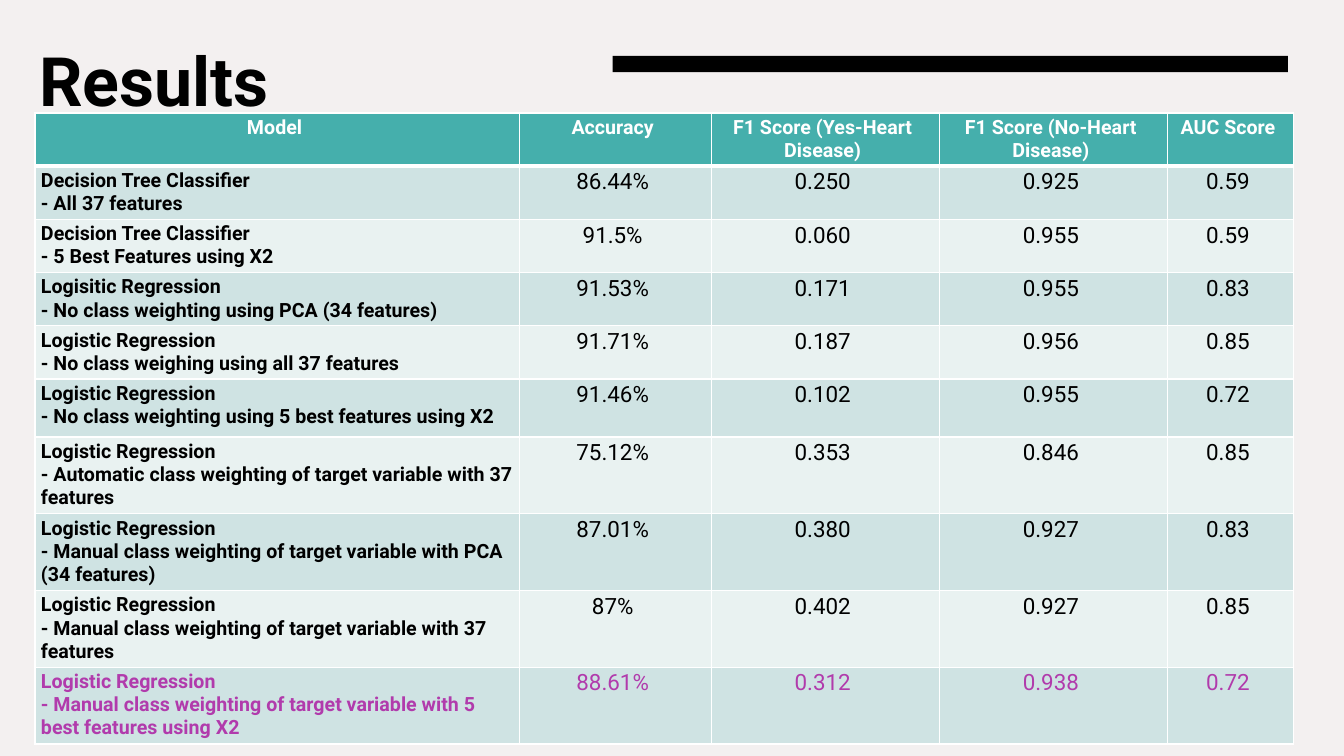
from itertools import accumulate

from lxml import etree
from pptx import Presentation
from pptx.dml.color import RGBColor
from pptx.enum.shapes import MSO_SHAPE
from pptx.enum.text import MSO_ANCHOR, PP_ALIGN
from pptx.oxml.ns import qn
from pptx.util import Pt

RECTANGLE = MSO_SHAPE.RECTANGLE
TOP = MSO_ANCHOR.TOP
LEFT, CENTER = PP_ALIGN.LEFT, PP_ALIGN.CENTER

TITLE = "Results"
HEADINGS = ["Model", "Accuracy", "F1 Score (Yes-Heart Disease)",
            "F1 Score (No-Heart Disease)", "AUC Score"]
# model and variant, accuracy, F1 yes, F1 no, AUC
RESULTS = [
    ("Decision Tree Classifier\n- All 37 features",
     "86.44%", "0.250", "0.925", "0.59"),
    ("Decision Tree Classifier\n- 5 Best Features using X2",
     "91.5%", "0.060", "0.955", "0.59"),
    ("Logisitic Regression\n- No class weighting using PCA (34 features)",
     "91.53%", "0.171", "0.955", "0.83"),
    ("Logistic Regression\n- No class weighing using all 37 features",
     "91.71%", "0.187", "0.956", "0.85"),
    ("Logistic Regression\n- No class weighting using 5 best features using X2",
     "91.46%", "0.102", "0.955", "0.72"),
    ("Logistic Regression\n- Automatic class weighting of target variable with 37 features",
     "75.12%", "0.353", "0.846", "0.85"),
    ("Logistic Regression\n- Manual class weighting of target variable with PCA (34 features)",
     "87.01%", "0.380", "0.927", "0.83"),
    ("Logistic Regression\n- Manual class weighting of target variable with 37 features",
     "87%", "0.402", "0.927", "0.85"),
    ("Logistic Regression\n- Manual class weighting of target variable with 5 best features using X2",
     "88.61%", "0.312", "0.938", "0.72"),
]
COLUMN_WIDTHS = [346, 137, 163, 163, 90]
ROW_HEIGHTS = [37.2, 37.4, 37.4, 38, 37.4, 41.4, 53.8, 53.8, 53.8, 53.8]
TABLE_LEFT, TABLE_TOP = 25, 80.7

FONT = "Roboto"
BACKGROUND, BLACK, WHITE = "F3F0F0", "000000", "FFFFFF"
HEADER_FILL, BANDS = "45AFAC", ["E9F2F1", "CFE3E3"]
HIGHLIGHT = "B13BAC"


def paint(fill, color):
    fill.solid()
    fill.fore_color.rgb = RGBColor.from_string(color)


def style_text(frame, size, color, bold, align=LEFT):
    for para in frame.paragraphs:
        para.alignment = align
        for span in para.runs:
            span.font.name = FONT
            span.font.size = Pt(size)
            span.font.bold = bold
            span.font.color.rgb = RGBColor.from_string(color)


def set_borders(cell, top, bottom):
    """Draw white cell borders; top and bottom are widths in points."""
    properties = cell._tc.get_or_add_tcPr()
    sides = [("lnL", 1), ("lnR", 1), ("lnT", top), ("lnB", bottom)]
    for index, (side, width) in enumerate(sides):
        line = etree.Element(qn("a:" + side), w=str(Pt(width)))
        solid = etree.SubElement(line, qn("a:solidFill"))
        etree.SubElement(solid, qn("a:srgbClr"), val=WHITE)
        properties.insert(index, line)


def fill_cell(cell, text, row, column):
    header, model = row == 0, column == 0
    centered = header or not model
    cell.text_frame.text = text
    cell.vertical_anchor = TOP
    cell.margin_left = Pt(4.3)
    cell.margin_right = Pt(8 if centered else 4.3)
    cell.margin_top = cell.margin_bottom = Pt(2.2)
    if header:
        color = WHITE
    else:
        color = HIGHLIGHT if row == len(RESULTS) else BLACK
    bold = header or model
    style_text(cell.text_frame, 14 if bold else 16, color, bold,
               CENTER if centered else LEFT)
    paint(cell.fill, HEADER_FILL if header else BANDS[row % 2])
    set_borders(cell, top=3 if row == 1 else 1, bottom=3 if header else 1)


def add_title(page):
    box = page.shapes.add_textbox(Pt(21), Pt(20), Pt(483), Pt(58))
    frame = box.text_frame
    frame.word_wrap = True
    frame.vertical_anchor = TOP
    frame.margin_top = Pt(7.5)
    frame.text = TITLE
    style_text(frame, 48.6, BLACK, True)


def add_bar(page):
    bar = page.shapes.add_shape(RECTANGLE, Pt(437.6), Pt(40), Pt(482.4), Pt(11.6))
    bar.shadow.inherit = False
    paint(bar.fill, BLACK)
    bar.line.fill.background()


def add_results_table(page):
    rows = [HEADINGS, *RESULTS]
    table = page.shapes.add_table(
        len(rows), len(HEADINGS), Pt(TABLE_LEFT), Pt(TABLE_TOP),
        Pt(sum(COLUMN_WIDTHS)), Pt(sum(ROW_HEIGHTS))).table
    for column, width in zip(table.columns, COLUMN_WIDTHS):
        column.width = Pt(width)
    for row, height in zip(table.rows, ROW_HEIGHTS):
        row.height = Pt(height)
    for row, texts in enumerate(rows):
        for column, text in enumerate(texts):
            fill_cell(table.cell(row, column), text, row, column)


def main():
    deck = Presentation()
    deck.slide_width, deck.slide_height = Pt(960), Pt(540)
    page = deck.slides.add_slide(deck.slide_layouts[6])
    paint(page.background.fill, BACKGROUND)
    add_title(page)
    add_bar(page)
    add_results_table(page)
    deck.save("out.pptx")


if __name__ == "__main__":
    main()
